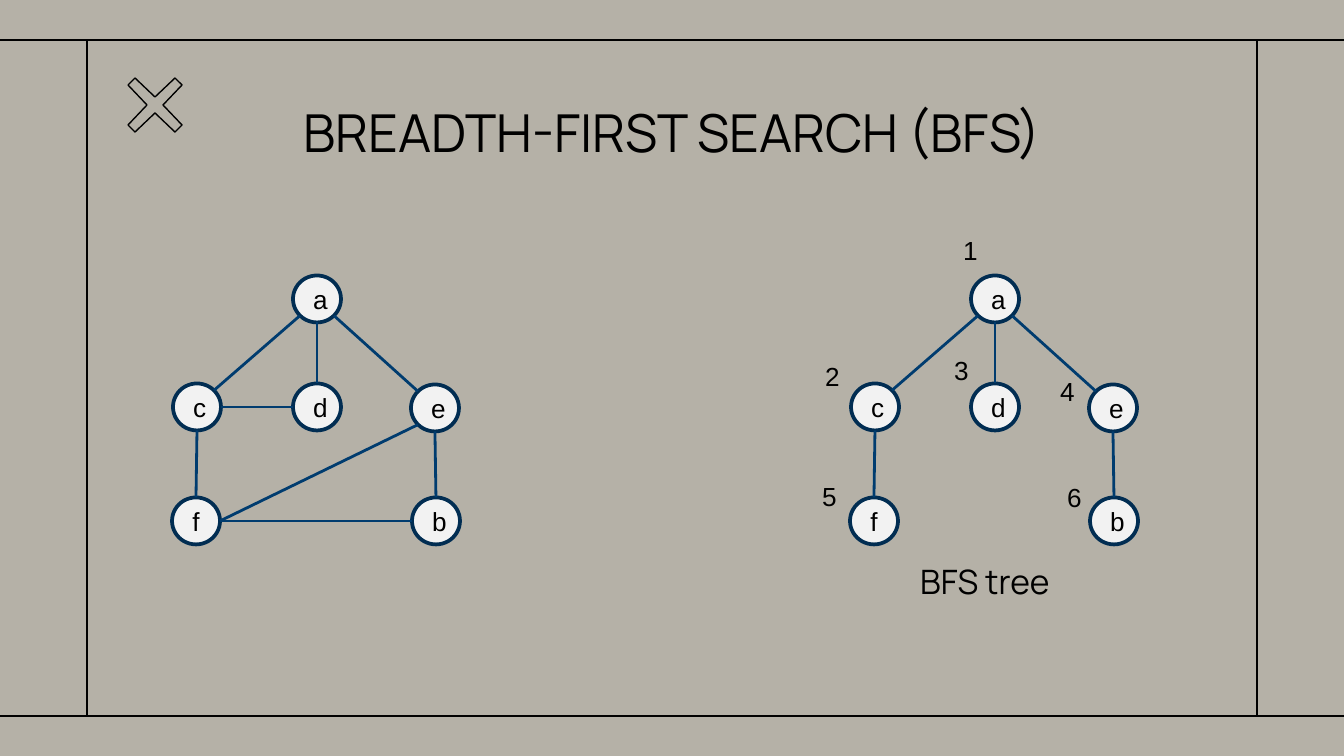
from pptx import Presentation
from pptx.dml.color import RGBColor
from pptx.enum.shapes import MSO_CONNECTOR, MSO_SHAPE
from pptx.enum.text import MSO_ANCHOR, MSO_AUTO_SIZE, PP_ALIGN
from pptx.util import Emu, Pt
from lxml import etree

LINE = MSO_CONNECTOR.STRAIGHT
OVAL = MSO_SHAPE.OVAL
MIDDLE = MSO_ANCHOR.MIDDLE
LEFT, CENTER = PP_ALIGN.LEFT, PP_ALIGN.CENTER
FIT, FIXED = MSO_AUTO_SIZE.SHAPE_TO_FIT_TEXT, MSO_AUTO_SIZE.NONE

SCALE = 914400 / 134.4
WIDTH, HEIGHT = 1344, 756
COLORS = {"back": "B5B1A7", "ink": "000000", "node": "F2F2F2",
          "ring": "012D52", "edge": "003C6F"}
NS = "{http://schemas.openxmlformats.org/drawingml/2006/main}"

NODE_W, NODE_H = 48, 47
NODES = {"a": (317, 299), "b": (436, 521), "d": (317, 407),
         "e": (435, 408), "f": (196, 521), "c": (197, 407)}
DIAG = 0.71
SITES = {"n": (0, -1), "s": (0, 1), "w": (-1, 0), "e": (1, 0),
         "ne": (DIAG, -DIAG), "se": (DIAG, DIAG),
         "sw": (-DIAG, DIAG), "nw": (-DIAG, -DIAG)}
TREE = [("c", "ne", "a", "sw"), ("d", "n", "a", "s"), ("e", "nw", "a", "se"),
        ("c", "s", "f", "n"), ("e", "s", "b", "n")]
CROSS = [("e", "sw", "f", "e"), ("f", "e", "b", "w"), ("c", "e", "d", "w")]
SHIFT = 678
RANKS = [(950, 228), (812, 354), (941, 348), (1047, 369), (809, 474), (1054, 475)]


def px(value):
    return Emu(round(value * SCALE))


def rgb(name):
    return RGBColor.from_string(COLORS[name])


def write(frame, text, size=14, font="Arial", color="ink", align=LEFT):
    para = frame.paragraphs[0]
    para.text = text
    para.alignment = align
    para.font.size = Pt(size)
    para.font.name = font
    para.font.color.rgb = rgb(color)


class Board:
    def __init__(self, deck):
        self.slide = deck.slides.add_slide(deck.slide_layouts[5])
        self.shapes = self.slide.shapes
        fill = self.slide.background.fill
        fill.solid()
        fill.fore_color.rgb = rgb("back")

    def title(self, text, x, y, w, h):
        shape = self.shapes.title
        shape.left, shape.top, shape.width, shape.height = map(px, (x, y, w, h))
        frame = shape.text_frame
        frame.auto_size = FIXED
        frame.vertical_anchor = MIDDLE
        frame.margin_top = frame.margin_bottom = px(13)
        write(frame, text, size=28, font="Manrope", align=CENTER)

    def line(self, start, end, color="ink", width=0.75):
        line = self.shapes.add_connector(LINE, *map(px, (*start, *end)))
        line.line.color.rgb = rgb(color)
        line.line.width = Pt(width)
        etree.SubElement(line._element.spPr, NS + "effectLst")

    def label(self, text, x, y, w, h, **style):
        box = self.shapes.add_textbox(*map(px, (x, y, w, h)))
        frame = box.text_frame
        frame.word_wrap = False
        frame.auto_size = FIT
        write(frame, text, **style)

    def node(self, text, x, y):
        place = (x - NODE_W / 2, y - NODE_H / 2, NODE_W, NODE_H)
        oval = self.shapes.add_shape(OVAL, *map(px, place))
        oval.shadow.inherit = False
        oval.fill.solid()
        oval.fill.fore_color.rgb = rgb("node")
        oval.line.color.rgb = rgb("ring")
        oval.line.width = Pt(2)
        oval.text_frame.vertical_anchor = MIDDLE
        write(oval.text_frame, text, align=CENTER)

    def cross(self, x, y):
        arm = [(20, 27), (27, 20), (8, 0)]
        points = []
        for _ in range(4):
            points += arm
            arm = [(b, -a) for a, b in arm]
        spots = [(px(x + a), px(y + b)) for a, b in points]
        pen = self.shapes.build_freeform(*spots[0])
        pen.add_line_segments(spots[1:])
        shape = pen.convert_to_shape()
        shape.shadow.inherit = False
        shape.fill.background()
        shape.line.color.rgb = rgb("ink")
        shape.line.width = Pt(0.75)

    def graph(self, edges, shift=0):
        def port(name, site):
            x, y = NODES[name]
            dx, dy = SITES[site]
            return x + shift + dx * NODE_W / 2, y + dy * NODE_H / 2

        for name, (x, y) in NODES.items():
            self.node(name, x + shift, y)
        for head, out, tail, into in edges:
            self.line(port(head, out), port(tail, into), "edge", 1.5)


def main():
    deck = Presentation()
    deck.slide_width, deck.slide_height = px(WIDTH), px(HEIGHT)
    board = Board(deck)
    top, base = 40, 716
    for y in (top, base):
        board.line((0, y), (WIDTH, y))
    for x in (87, WIDTH - 87):
        board.line((x, top), (x, base))
    board.title("BREADTH-FIRST SEARCH (BFS)", 206, 89, 932, 85)
    board.cross(155, 105)
    board.graph(TREE + CROSS)
    board.graph(TREE, SHIFT)
    for rank, (x, y) in enumerate(RANKS, 1):
        board.label(str(rank), x, y, 42, 46)
    board.label("BFS tree", 907, 554, 168, 54, size=18, font="Manrope")
    deck.save("out.pptx")


if __name__ == "__main__":
    main()
